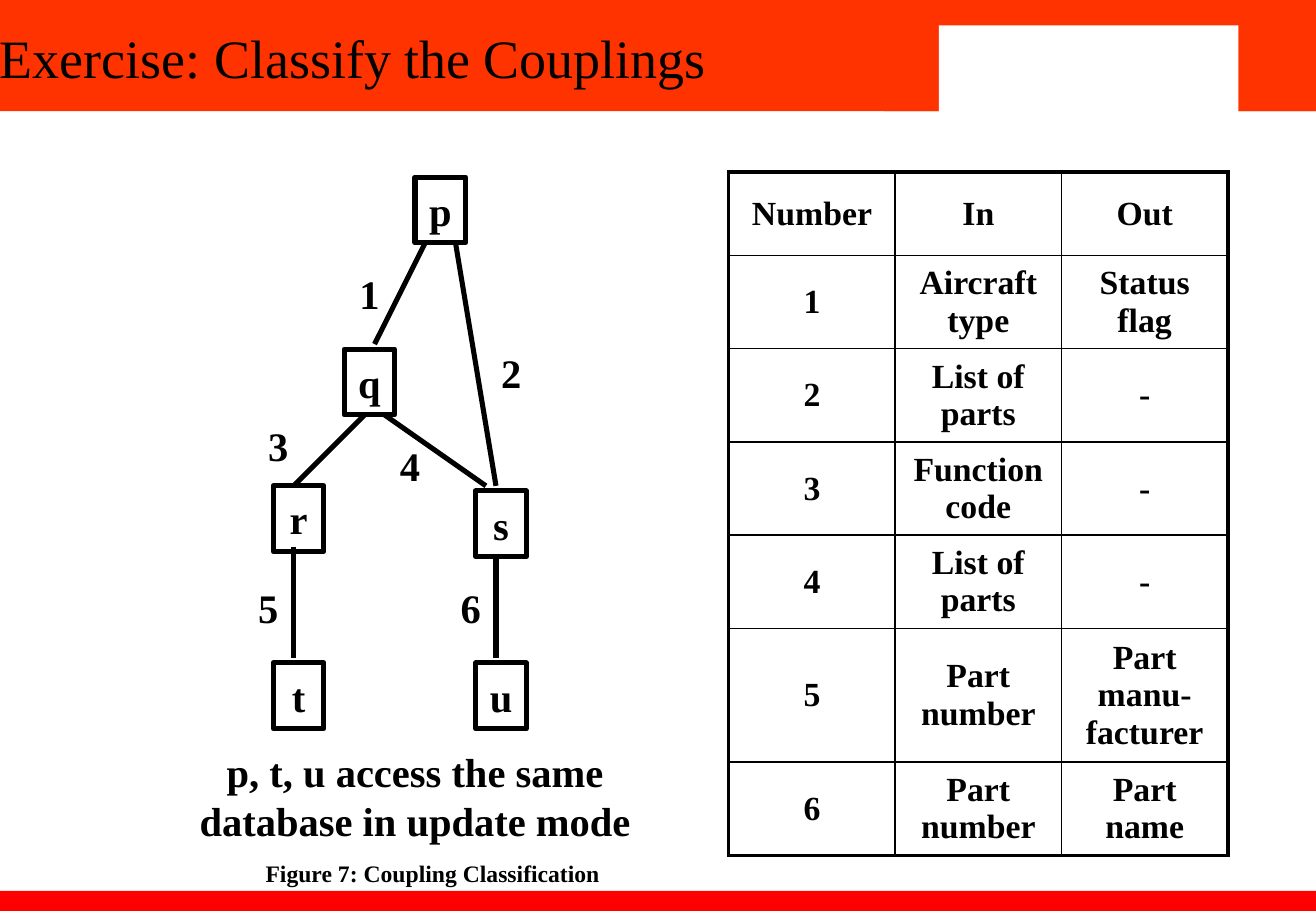
from lxml import etree
from pptx import Presentation
from pptx.dml.color import RGBColor
from pptx.enum import shapes, text
from pptx.oxml import ns
from pptx.util import Pt

BLACK = RGBColor(0, 0, 0)
WHITE = RGBColor(0xFF, 0xFF, 0xFF)
ORANGE = RGBColor(0xFF, 0x33, 0x00)
RED = RGBColor(0xFF, 0, 0)
FONT = "Times New Roman"
CENTER = text.PP_ALIGN.CENTER
MIDDLE = text.MSO_ANCHOR.MIDDLE


def write(frame, words, size, bold=True, align=CENTER):
    para = frame.paragraphs[0]
    para.alignment = align
    span = para.add_run()
    span.text = words
    span.font.name = FONT
    span.font.size = Pt(size)
    span.font.bold = bold
    span.font.color.rgb = BLACK
    return para


def add_label(left, top, width, height, words, size=24, wrap=False):
    box = page.shapes.add_textbox(Pt(left), Pt(top), Pt(width), Pt(height))
    box.text_frame.word_wrap = wrap
    box.text_frame.vertical_anchor = MIDDLE
    write(box.text_frame, words, size)


deck = Presentation()
deck.slide_width, deck.slide_height = Pt(780), Pt(540)
page = deck.slides.add_slide(deck.slide_layouts[6])

# Banner, its white patch and the footer bar
for left, top, width, height, color in [
    (0, 0, 780, 66, ORANGE),
    (0, 528, 780, 12, RED),
    (524, 0, 256, 66, ORANGE),
    (556.5, 15, 177.5, 54, WHITE),
]:
    bar = page.shapes.add_shape(
        shapes.MSO_SHAPE.RECTANGLE, Pt(left), Pt(top), Pt(width), Pt(height))
    bar.shadow.inherit = False
    bar.fill.solid()
    bar.fill.fore_color.rgb = color
    bar.line.fill.background()

# Title
title = page.shapes.add_textbox(0, 0, Pt(468), Pt(72)).text_frame
title.word_wrap = True
title.vertical_anchor = MIDDLE
title.margin_left = title.margin_right = title.margin_top = title.margin_bottom = 0
write(title, "Exercise: Classify the Couplings", 32, False,
      text.PP_ALIGN.LEFT).line_spacing = 0.9

# Coupling table
rows = [
    ("Number", "In", "Out"),
    ("1", "Aircraft type", "Status flag"),
    ("2", "List of parts", "-"),
    ("3", "Function code", "-"),
    ("4", "List of parts", "-"),
    ("5", "Part number", "Part manu-facturer"),
    ("6", "Part number", "Part name"),
]
row_heights = [49.5, 55.2, 55.2, 55.2, 55.2, 79.2, 55.2]
last_row, last_column = len(rows) - 1, 2
table = page.shapes.add_table(
    7, 3, Pt(432), Pt(102), Pt(296), Pt(sum(row_heights))).table
table.first_row = table.horz_banding = False
for column in table.columns:
    column.width = Pt(98.6)
for r, values in enumerate(rows):
    table.rows[r].height = Pt(row_heights[r])
    for c, value in enumerate(values):
        cell = table.cell(r, c)
        cell.vertical_anchor = MIDDLE
        cell.fill.background()
        write(cell.text_frame, value, 20)
        # Thick outer frame, thin inner grid
        edges = [("lnL", c == 0), ("lnR", c == last_column),
                 ("lnT", r == 0), ("lnB", r == last_row)]
        properties = cell._tc.get_or_add_tcPr()
        for place, (edge, outer) in enumerate(edges):
            border = etree.Element(ns.qn("a:" + edge), w=str(Pt(2.25 if outer else 1)))
            paint = etree.SubElement(border, ns.qn("a:solidFill"))
            etree.SubElement(paint, ns.qn("a:srgbClr"), val=str(BLACK))
            properties.insert(place, border)

# Module boxes
modules = {"p": (246, 105), "q": (204, 207), "s": (282, 291),
           "r": (162, 288), "t": (162, 393), "u": (282, 393)}
for name, (left, top) in modules.items():
    box = page.shapes.add_shape(
        shapes.MSO_SHAPE.RECTANGLE, Pt(left), Pt(top), Pt(30), Pt(39))
    box.shadow.inherit = False
    box.fill.background()
    box.line.color.rgb = BLACK
    box.line.width = Pt(3)
    box.text_frame.word_wrap = False
    box.text_frame.vertical_anchor = MIDDLE
    write(box.text_frame, name, 24)

# Numbered calls: line ends, then the label's corner
calls = [
    ((252, 144, 222, 204), (204, 156)),
    ((270, 144, 294, 288), (288, 202.5)),
    ((216, 246, 174, 288), (150, 246)),
    ((228, 246, 288, 288), (228, 258)),
    ((174, 324, 174, 390), (144, 342)),
    ((294, 330, 294, 390), (264, 342)),
]
for number, (ends, (left, top)) in enumerate(calls, 1):
    link = page.shapes.add_connector(
        shapes.MSO_CONNECTOR.STRAIGHT, *[Pt(end) for end in ends])
    link.line.color.rgb = BLACK
    link.line.width = Pt(3)
    etree.SubElement(link._element.spPr, ns.qn("a:effectLst"))
    add_label(left, top, 30, 36, str(number))

# Note and caption
add_label(96, 439.5, 300, 64.5,
          "p, t, u access the same database in update mode", wrap=True)
add_label(149.5, 505.5, 214, 24.5, "Figure 7: Coupling Classification", 14)

deck.save("out.pptx")
